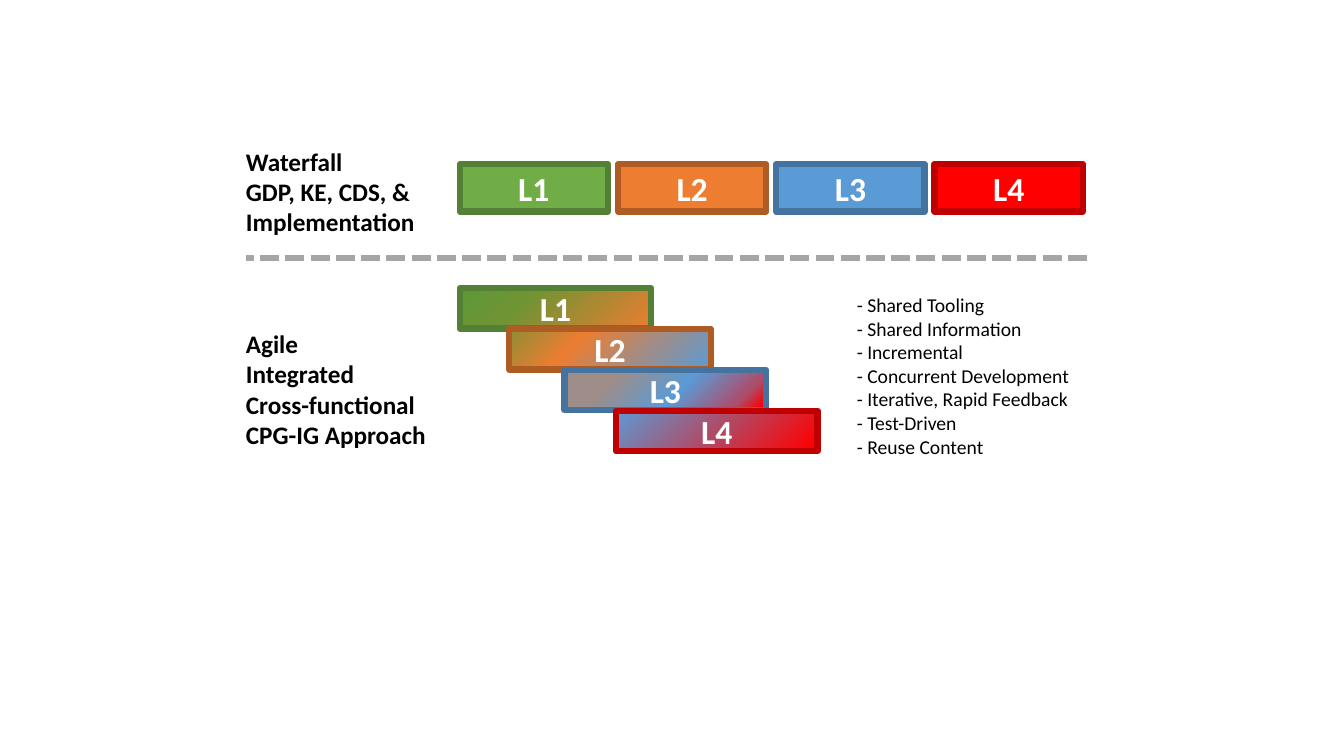
from dataclasses import dataclass

from lxml import etree
from pptx import Presentation
from pptx.dml.color import RGBColor
from pptx.enum.dml import MSO_LINE
from pptx.enum.shapes import MSO_CONNECTOR, MSO_SHAPE
from pptx.enum.text import MSO_ANCHOR, MSO_AUTO_SIZE, PP_ALIGN
from pptx.oxml.ns import qn
from pptx.shapes.autoshape import Shape
from pptx.shapes.shapetree import GroupShapes, SlideShapes
from pptx.text.text import _Paragraph
from pptx.util import Inches, Pt

RECTANGLE = MSO_SHAPE.RECTANGLE
STRAIGHT = MSO_CONNECTOR.STRAIGHT
SHORT_DASH = MSO_LINE.SQUARE_DOT
MIDDLE = MSO_ANCHOR.MIDDLE
CENTER = PP_ALIGN.CENTER
FIT_SHAPE = MSO_AUTO_SIZE.SHAPE_TO_FIT_TEXT

FONT = "Calibri"
WHITE = RGBColor(0xFF, 0xFF, 0xFF)
BLACK = RGBColor(0x00, 0x00, 0x00)
GRAY = RGBColor(0xA6, 0xA6, 0xA6)
GREEN = RGBColor(0x70, 0xAD, 0x47)
DARK_GREEN = RGBColor(0x53, 0x80, 0x35)
LEAF = RGBColor(0x5D, 0x98, 0x35)
MOSS = RGBColor(0x6F, 0x94, 0x34)
OLIVE = RGBColor(0x8F, 0x8E, 0x33)
OCHRE = RGBColor(0xAF, 0x88, 0x32)
ORANGE = RGBColor(0xED, 0x7D, 0x31)
DARK_ORANGE = RGBColor(0xAF, 0x5C, 0x24)
TAUPE = RGBColor(0x9F, 0x8D, 0x89)
BLUE = RGBColor(0x5B, 0x9B, 0xD5)
DARK_BLUE = RGBColor(0x43, 0x73, 0x9E)
PLUM = RGBColor(0xB0, 0x4B, 0x67)
RED = RGBColor(0xFF, 0x00, 0x00)
DARK_RED = RGBColor(0xC0, 0x00, 0x00)

BORDER = Pt(4.5)
WATERFALL_LEFT, WATERFALL_TOP, WATERFALL_PITCH = 4.56, 1.63, 1.57
WATERFALL_WIDTH, WATERFALL_HEIGHT = 1.47, 0.47
AGILE_TOP, AGILE_PITCH, AGILE_HEIGHT = 2.86, 0.405, 0.4


@dataclass(frozen=True)
class Level:
    label: str
    color: RGBColor
    border: RGBColor
    agile_left: float
    agile_width: float
    blend: tuple[tuple[int, RGBColor], ...]


@dataclass(frozen=True)
class Note:
    left: float
    top: float
    width: float
    height: float
    size: int
    bold: bool
    lines: tuple[str, ...]


LEVELS = (
    Level("L1", GREEN, DARK_GREEN, 4.56, 1.9,
          ((0, LEAF), (33, MOSS), (67, OCHRE), (100, ORANGE))),
    Level("L2", ORANGE, DARK_ORANGE, 5.05, 2,
          ((1, OLIVE), (33, ORANGE), (67, TAUPE), (99, BLUE))),
    Level("L3", BLUE, DARK_BLUE, 5.6, 2,
          ((24, TAUPE), (56, BLUE), (86, PLUM), (97, RED))),
    Level("L4", RED, DARK_RED, 6.11, 2,
          ((0, BLUE), (50, PLUM), (97, RED))),
)

NOTES = (
    Note(2.34, 1.4, 1.89, 1.01, 18, True,
         ("Waterfall", "GDP, KE, CDS, &", "Implementation")),
    Note(2.34, 3.21, 2, 1.31, 18, True,
         ("Agile", "Integrated", "Cross-functional", "CPG-IG Approach")),
    Note(8.4, 2.86, 2.33, 1.75, 14, False,
         ("- Shared Tooling", "- Shared Information", "- Incremental",
          "- Concurrent Development", "- Iterative, Rapid Feedback",
          "- Test-Driven", "- Reuse Content")),
)


def add_run(paragraph: _Paragraph, text: str, size: int, bold: bool, color: RGBColor) -> None:
    run = paragraph.add_run()
    run.text = text
    run.font.name = FONT
    run.font.size = Pt(size)
    run.font.bold = bold
    run.font.color.rgb = color


def add_bar(shapes: GroupShapes, level: Level, left: float, top: float,
            width: float, height: float) -> Shape:
    """Add a bordered, labelled level bar whose fill is left to the caller."""
    bar = shapes.add_shape(RECTANGLE, Inches(left), Inches(top), Inches(width), Inches(height))
    bar.shadow.inherit = False
    bar.line.color.rgb = level.border
    bar.line.width = BORDER
    bar.text_frame.vertical_anchor = MIDDLE
    paragraph = bar.text_frame.paragraphs[0]
    paragraph.alignment = CENTER
    add_run(paragraph, level.label, 24, True, WHITE)
    return bar


def blend_fill(bar: Shape, blend: tuple[tuple[int, RGBColor], ...]) -> None:
    """Fill diagonally, from top left to bottom right, through the blend's stops."""
    bar.fill.gradient()
    bar.fill.gradient_angle = 315
    stops = bar.element.spPr.find(qn("a:gradFill")).find(qn("a:gsLst"))
    for default_stop in list(stops):
        stops.remove(default_stop)
    for percent, color in blend:
        stop = etree.SubElement(stops, qn("a:gs"), pos=str(percent * 1000))
        etree.SubElement(stop, qn("a:srgbClr"), val=str(color))


def add_note(shapes: SlideShapes, note: Note) -> None:
    box = shapes.add_textbox(Inches(note.left), Inches(note.top),
                             Inches(note.width), Inches(note.height))
    frame = box.text_frame
    frame.word_wrap = False
    frame.auto_size = FIT_SHAPE
    for index, line in enumerate(note.lines):
        paragraph = frame.add_paragraph() if index else frame.paragraphs[0]
        add_run(paragraph, line, note.size, note.bold, BLACK)


def add_divider(shapes: SlideShapes) -> None:
    divider = shapes.add_connector(STRAIGHT, Inches(10.78), Inches(2.56),
                                   Inches(2.44), Inches(2.56))
    divider.line.color.rgb = GRAY
    divider.line.width = BORDER
    divider.line.dash_style = SHORT_DASH
    etree.SubElement(divider.element.spPr, qn("a:effectLst"))


def main() -> None:
    presentation = Presentation()
    presentation.slide_width = Inches(13.33)
    presentation.slide_height = Inches(7.5)
    slide = presentation.slides.add_slide(presentation.slide_layouts.get_by_name("Blank"))

    waterfall = slide.shapes.add_group_shape()
    agile = slide.shapes.add_group_shape()
    for index, level in enumerate(LEVELS):
        phase = add_bar(waterfall.shapes, level, WATERFALL_LEFT + index * WATERFALL_PITCH,
                        WATERFALL_TOP, WATERFALL_WIDTH, WATERFALL_HEIGHT)
        phase.fill.solid()
        phase.fill.fore_color.rgb = level.color
        overlap = add_bar(agile.shapes, level, level.agile_left,
                          AGILE_TOP + index * AGILE_PITCH, level.agile_width, AGILE_HEIGHT)
        blend_fill(overlap, level.blend)

    for note in NOTES:
        add_note(slide.shapes, note)
    add_divider(slide.shapes)
    presentation.save("out.pptx")


if __name__ == "__main__":
    main()
